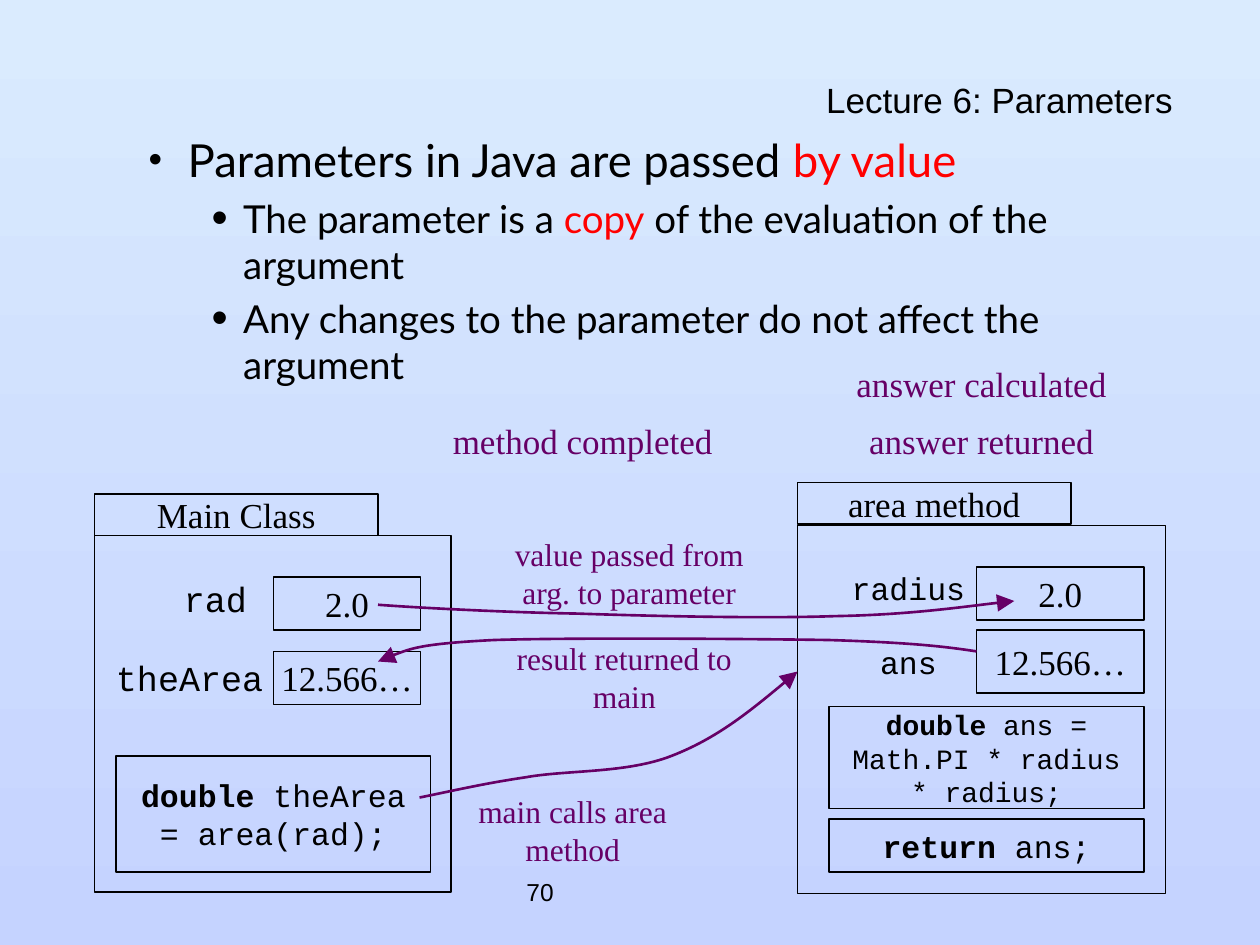
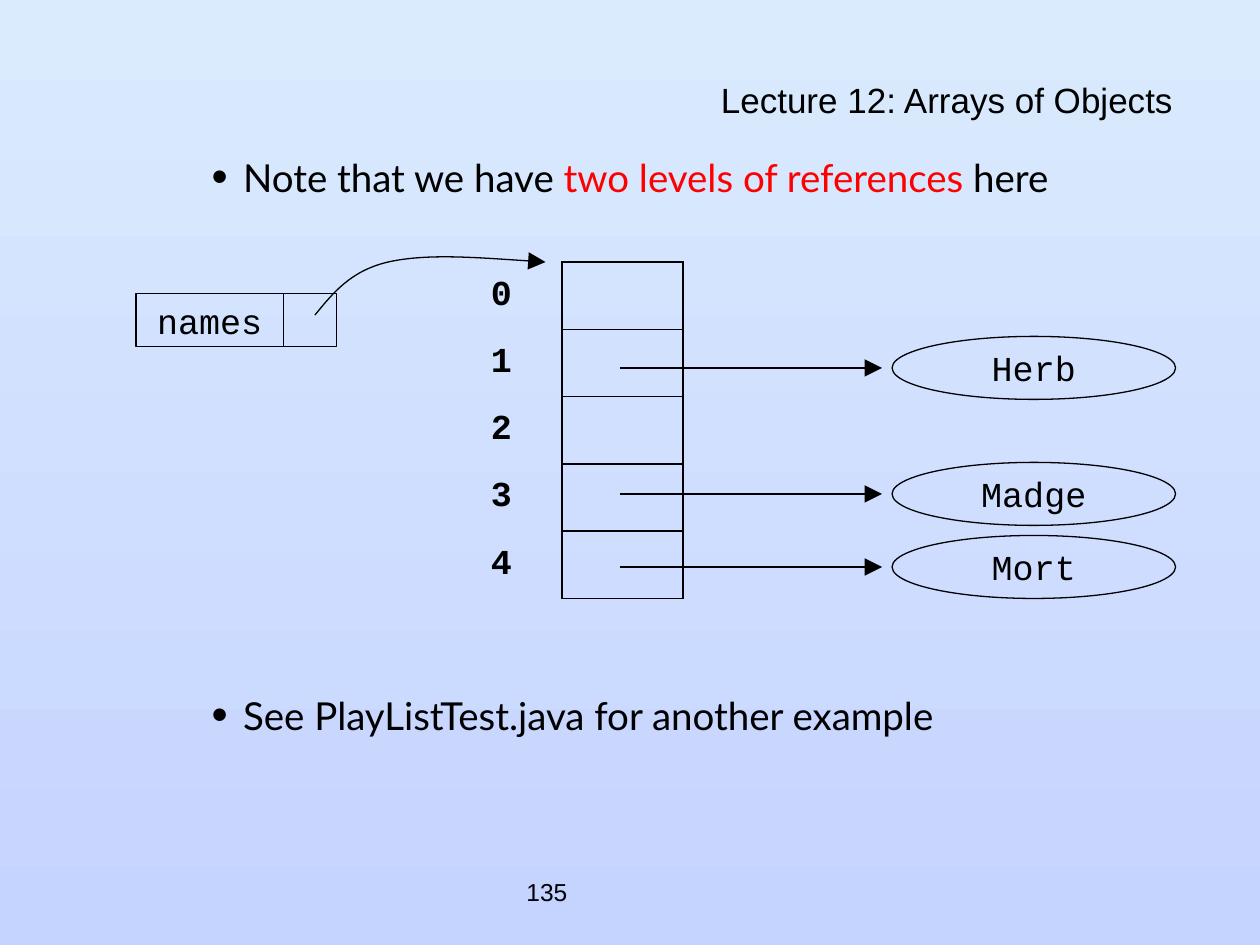
from lxml.etree import SubElement
from pptx import Presentation
from pptx.dml.color import RGBColor
from pptx.enum.shapes import MSO_CONNECTOR, MSO_SHAPE
from pptx.enum.text import MSO_ANCHOR, MSO_AUTO_SIZE, PP_ALIGN
from pptx.oxml.ns import qn
from pptx.util import Inches, Pt

BLACK = RGBColor(0x00, 0x00, 0x00)
RED = RGBColor(0xFF, 0x00, 0x00)
PURPLE = RGBColor(0x66, 0x00, 0x66)
SKY_TOP = RGBColor(0xDA, 0xEB, 0xFE)
SKY_BOTTOM = RGBColor(0xC5, 0xD3, 0xFF)
SANS, BODY, SERIF, CODE = "Arial", "Lato", "Times New Roman", "Courier New"

# Bullet level: left indent, hanging indent, font size, bullet size in percent
BULLET_LEVELS = {1: (0.81, 0.31, 26, 85), 2: (1.25, 0.25, 22, 120)}

# Wording is a list of pieces; every second piece is emphasised.
# Bullet: level, pieces, points of space before
PARAMETERS = {
    "title": "Lecture 6: Parameters",
    "number": "70",
    "body_top": 1.0,
    "bullets": [
        (1, ["Parameters in Java are passed ", "by value"], 0),
        (2, ["The parameter is a ", "copy", " of the evaluation of the argument"], 4.4),
        (2, ["Any changes to the parameter do not affect the argument"], 4.4),
    ],
}
ARRAYS = {
    "title": "Lecture 12: Arrays of Objects",
    "number": "135",
    "body_top": 1.17,
    "bullets": [
        (2, ["Note that we have ", "two levels of references", " here"], 0),
        (2, ["See PlayListTest.java for another example"], 281),
    ],
}

FRAMES = [(0.75, 4.25, 2.83, 2.83), (6.33, 4.17, 2.92, 2.92)]
# Pieces, place, font, size, wraps
MEMORY_BOXES = [
    (["Main Class"], (0.75, 3.92, 2.25, 0.33), SERIF, 20, False),
    (["2.0"], (2.17, 4.58, 1.17, 0.42), SERIF, 20, False),
    (["12.566…"], (2.17, 5.17, 1.17, 0.42), SERIF, 20, False),
    (["", "double", " theArea = area(rad);"], (0.92, 6, 2.5, 0.92), CODE, 18, True),
    (["area method"], (6.33, 3.83, 2.17, 0.33), SERIF, 20, False),
    (["2.0"], (7.75, 4.5, 1.33, 0.42), SERIF, 20, False),
    (["12.566…"], (7.75, 5, 1.33, 0.5), SERIF, 20, False),
    (["", "double", " ans = Math.PI * radius * radius;"],
     (6.58, 5.61, 2.5, 0.81), CODE, 16, True),
    (["", "return", " ans;"], (6.58, 6.5, 2.5, 0.42), CODE, 18, False),
]
VARIABLE_NAMES = [
    ("rad", (1.42, 4.5, 0.58, 0.5), 20),
    ("theArea", (0.88, 5.17, 1.25, 0.42), 20),
    ("radius", (6.71, 4.42, 1, 0.5), 18),
    ("ans", (6.71, 5, 1, 0.5), 18),
]
# Text, place, size, wraps
STEP_NOTES = [
    ("main calls area method", (3.67, 6.17, 1.75, 0.83), 18, True),
    ("value passed from arg. to parameter", (3.83, 4.17, 2.33, 0.75), 18, True),
    ("result returned to main", (3.83, 5, 2.25, 0.75), 18, True),
    ("answer calculated", (6.33, 2.83, 2.92, 0.42), 20, False),
    ("answer returned", (6.33, 3.33, 2.92, 0.33), 20, False),
    ("method completed", (3.5, 3.25, 2.25, 0.5), 20, False),
]
# Start point, then two control points and an end point per curve
VALUE_PASSED = [(3, 4.8), (3.26, 4.82), (3.97, 4.86), (4.58, 4.87), (5.18, 4.89),
                (6.05, 4.91), (6.63, 4.89), (7.21, 4.88), (7.76, 4.8), (8.05, 4.77)]
METHOD_CALL = [(3.33, 6.33), (3.58, 6.28), (3.83, 6.22), (4.17, 6.17), (4.5, 6.11),
               (4.97, 6.14), (5.33, 6), (5.69, 5.86), (6.01, 5.6), (6.33, 5.33)]
RESULT_RETURNED = [(7.75, 5.17), (7.49, 5.13), (7.22, 5.1), (6.58, 5.08), (5.94, 5.07),
                   (4.51, 5.06), (3.92, 5.08), (3.32, 5.11), (3.16, 5.18), (3, 5.25)]
NAMES_REFERENCE = [(2.5, 2.5), (2.64, 2.33), (2.78, 2.15), (3.08, 2.08),
                   (3.39, 2.01), (3.86, 2.05), (4.33, 2.08)]

ARRAY_SIZE = 5
ARRAY_PLACE = (3.5, 2.08, 1.92, 2.67)
OBJECTS = [("Herb", 2.67), ("Madge", 3.67), ("Mort", 4.25)]
OBJECT_LEFT, OBJECT_WIDTH, OBJECT_HEIGHT = 7.08, 2.25, 0.5
REFERENCE_START, REFERENCE_END = 4.92, 7


def inches(place):
    return [Inches(length) for length in place]


def add_runs(paragraph, pieces, font, size, color=BLACK, accent=None):
    """Emphasise every second piece: in the accent colour if given, else bold."""
    for index, piece in enumerate(pieces):
        if not piece:
            continue
        run = paragraph.add_run()
        run.text = piece
        emphasised = index % 2 == 1
        run.font.name, run.font.size = font, Pt(size)
        run.font.bold = emphasised and accent is None
        run.font.color.rgb = accent if emphasised and accent else color


def write(shape, pieces, font, size, color=BLACK, wraps=False, align=PP_ALIGN.CENTER):
    """Fill a shape with one paragraph; centred single lines get the full width."""
    frame = shape.text_frame
    frame.word_wrap = wraps
    frame.vertical_anchor = MSO_ANCHOR.MIDDLE
    if align == PP_ALIGN.CENTER and not wraps:
        frame.margin_left = frame.margin_right = 0
    frame.paragraphs[0].alignment = align
    add_runs(frame.paragraphs[0], pieces, font, size, color)


def add_label(slide, text, place, *style, **options):
    write(slide.shapes.add_textbox(*inches(place)), [text], *style, **options)


def add_outline(slide, place, kind=MSO_SHAPE.RECTANGLE):
    shape = slide.shapes.add_shape(kind, *inches(place))
    shape.shadow.inherit = False
    shape.fill.background()
    shape.line.color.rgb = BLACK
    shape.line.width = Pt(0.75)
    return shape


def style_arrow(arrow, color, width):
    arrow.line.color.rgb = color
    arrow.line.width = Pt(width)
    SubElement(arrow.line._get_or_add_ln(), qn("a:tailEnd"),
               type="triangle", w="lg", len="lg")


def add_curve(slide, points, color, width):
    """Draw an arrow along cubic curves, three points to each curve."""
    start, *rest = [inches(point) for point in points]
    builder = slide.shapes.build_freeform(*start)
    builder.add_line_segments(rest, close=False)
    curve = builder.convert_to_shape()
    curve.shadow.inherit = False
    curve.fill.background()
    style_arrow(curve, color, width)
    outline = curve._element.find(".//" + qn("a:path"))
    segments = outline.findall(qn("a:lnTo"))
    for first in range(0, len(segments), 3):
        bezier = SubElement(outline, qn("a:cubicBezTo"))
        for segment in segments[first:first + 3]:
            bezier.append(segment[0])
            outline.remove(segment)


def add_straight_arrow(slide, left, right, y):
    arrow = slide.shapes.add_connector(MSO_CONNECTOR.STRAIGHT, *inches((left, y, right, y)))
    style_arrow(arrow, BLACK, 0.75)
    SubElement(arrow._element.spPr, qn("a:effectLst"))


def add_bullet(paragraph, level, pieces, space_before):
    left, hanging, size, bullet_percent = BULLET_LEVELS[level]
    paragraph.level = level
    paragraph.space_before = Pt(space_before)
    properties = paragraph._p.get_or_add_pPr()
    properties.set("marL", str(Inches(left)))
    properties.set("indent", str(-Inches(hanging)))
    bullet_color = SubElement(properties, qn("a:buClr"))
    SubElement(bullet_color, qn("a:srgbClr"), val=str(BLACK))
    SubElement(properties, qn("a:buSzPct"), val=str(bullet_percent * 1000))
    SubElement(properties, qn("a:buChar"), char="•")
    add_runs(paragraph, pieces, BODY, size, accent=RED)


def place_shape(shape, place):
    shape.left, shape.top, shape.width, shape.height = inches(place)


def add_lecture_slide(prs, content):
    slide = prs.slides.add_slide(prs.slide_layouts[1])
    add_label(slide, content["number"], (4.08, 6.83, 2.08, 0.5), SANS, 14,
              align=PP_ALIGN.LEFT)

    title, body = slide.shapes.title, slide.placeholders[1]
    place_shape(title, (0.58, 0.67, 8.83, 0.33))
    write(title, [content["title"]], SANS, 20, wraps=True, align=PP_ALIGN.RIGHT)
    title.text_frame.auto_size = MSO_AUTO_SIZE.NONE
    title.text_frame.paragraphs[0].line_spacing = 0.7

    top = content["body_top"]
    place_shape(body, (0.58, top, 8.83, 6.67 - top))
    frame = body.text_frame
    frame.auto_size = MSO_AUTO_SIZE.NONE
    for index, bullet in enumerate(content["bullets"]):
        add_bullet(frame.add_paragraph() if index else frame.paragraphs[0], *bullet)
    return slide


def set_borders(cell, visible_sides):
    properties = cell._tc.get_or_add_tcPr()
    for side in "LRTB":
        border = SubElement(properties, qn(f"a:ln{side}"), w=str(Pt(1)))
        if side in visible_sides:
            fill = SubElement(border, qn("a:solidFill"))
            SubElement(fill, qn("a:srgbClr"), val=str(BLACK))
        else:
            SubElement(border, qn("a:noFill"))


def add_array(slide):
    array = slide.shapes.add_table(ARRAY_SIZE, 2, *inches(ARRAY_PLACE)).table
    array.first_row = array.horz_banding = False
    for index in range(ARRAY_SIZE):
        label, slot = array.cell(index, 0), array.cell(index, 1)
        set_borders(label, "R")
        set_borders(slot, "LRTB")
        label.fill.background()
        slot.fill.background()
        label.vertical_anchor = MSO_ANCHOR.MIDDLE
        paragraph = label.text_frame.paragraphs[0]
        paragraph.alignment = PP_ALIGN.CENTER
        add_runs(paragraph, ["", str(index)], CODE, 20)


def build_parameters(prs):
    slide = add_lecture_slide(prs, PARAMETERS)
    for place in FRAMES:
        add_outline(slide, place)
    for pieces, place, font, size, wraps in MEMORY_BOXES:
        write(add_outline(slide, place), pieces, font, size, wraps=wraps)
    for name, place, size in VARIABLE_NAMES:
        add_label(slide, name, place, CODE, size)
    for note, place, size, wraps in STEP_NOTES:
        add_label(slide, note, place, SERIF, size, PURPLE, wraps=wraps)
    for points in (VALUE_PASSED, METHOD_CALL, RESULT_RETURNED):
        add_curve(slide, points, PURPLE, 1.5)


def build_arrays(prs):
    slide = add_lecture_slide(prs, ARRAYS)
    write(add_outline(slide, (1.08, 2.33, 1.17, 0.42)), ["names"], CODE, 20)
    add_outline(slide, (2.25, 2.33, 0.42, 0.42))
    add_array(slide)
    for name, top in OBJECTS:
        place = (OBJECT_LEFT, top, OBJECT_WIDTH, OBJECT_HEIGHT)
        write(add_outline(slide, place, MSO_SHAPE.OVAL), [name], CODE, 20)
        add_straight_arrow(slide, REFERENCE_START, REFERENCE_END, top + OBJECT_HEIGHT / 2)
    add_curve(slide, NAMES_REFERENCE, BLACK, 0.75)


def main():
    prs = Presentation()
    prs.slide_width, prs.slide_height = Inches(10), Inches(7.5)
    sky = prs.slide_master.background.fill
    sky.gradient()
    sky.gradient_angle = 270
    for stop, color in zip(sky.gradient_stops, (SKY_TOP, SKY_BOTTOM)):
        stop.color.rgb = color
    build_parameters(prs)
    build_arrays(prs)
    prs.save("out.pptx")


if __name__ == "__main__":
    main()
